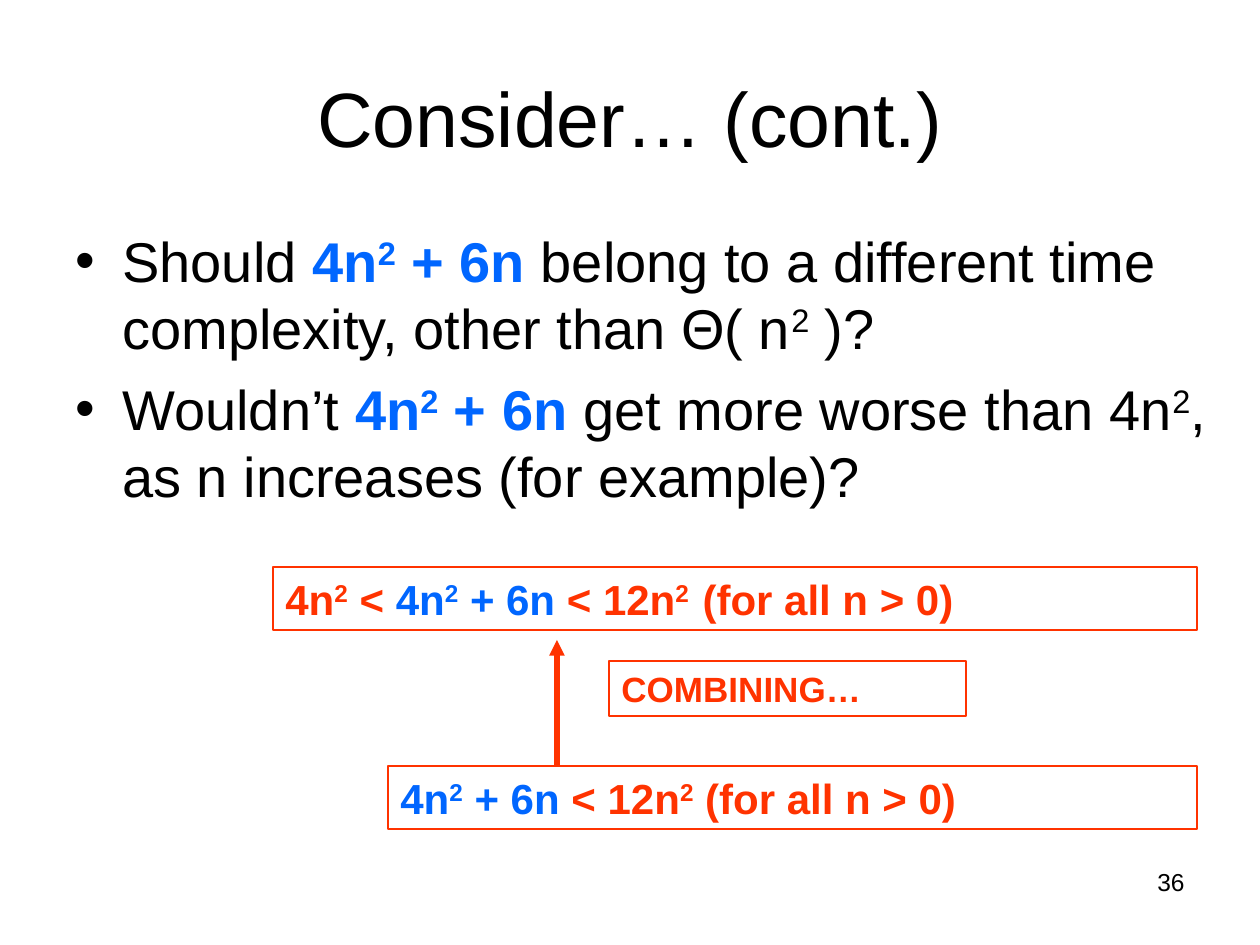
from lxml import etree
from pptx import Presentation
from pptx import util as u
from pptx.dml.color import RGBColor
from pptx.enum import shapes, text
from pptx.oxml.ns import qn

BLACK = RGBColor(0x00, 0x00, 0x00)
BLUE = RGBColor(0x00, 0x66, 0xFF)
RED = RGBColor(0xFF, 0x33, 0x00)
PX = u.Inches(1) / 126


def emu(*lengths):
    return [u.Emu(round(n * PX)) for n in lengths]


def write(p, markup, size=24, color=BLACK, bold=False, font="Arial"):
    for i, piece in enumerate(markup.split("^")):
        if not piece:
            continue
        r = p.add_run()
        r.text = piece
        r.font.name = font
        r.font.size = u.Pt(size)
        r.font.bold = bold
        r.font.color.rgb = color
        if i % 2:
            r.font._element.set("baseline", "30000")


class Deck:
    font = "Arial"
    accent = RED

    def __init__(self, width, height):
        self.prs = Presentation()
        self.prs.slide_width, self.prs.slide_height = emu(width, height)
        self.s = self.prs.slides.add_slide(self.prs.slide_layouts[6])

    def frame(self, sp, anchor=text.MSO_ANCHOR.TOP):
        tf = sp.text_frame
        tf.word_wrap = True
        tf.vertical_anchor = anchor
        return tf

    def label(self, box, words, size, align, anchor=text.MSO_ANCHOR.TOP):
        tf = self.frame(self.s.shapes.add_textbox(*emu(*box)), anchor)
        p = tf.paragraphs[0]
        p.alignment = align
        write(p, words, size=size, font=self.font)

    def bullets(self, box, items, size=32, indent=47):
        tf = self.frame(self.s.shapes.add_textbox(*emu(*box)))
        for i, item in enumerate(items):
            p = tf.add_paragraph() if i else tf.paragraphs[0]
            p.space_before = u.Pt(8)
            pPr = p._p.get_or_add_pPr()
            pPr.set("marL", str(emu(indent)[0]))
            pPr.set("indent", str(emu(-indent)[0]))
            etree.SubElement(pPr, qn("a:buFont")).set("typeface", self.font)
            etree.SubElement(pPr, qn("a:buChar")).set("char", "•")
            for words, color in item:
                write(p, words, size=size, color=color, bold=color != BLACK, font=self.font)

    def box(self, box, parts, size=24):
        sp = self.s.shapes.add_shape(shapes.MSO_SHAPE.RECTANGLE, *emu(*box))
        sp.shadow.inherit = False
        sp.fill.background()
        sp.line.color.rgb = self.accent
        sp.line.width = u.Pt(0.75)
        p = self.frame(sp).paragraphs[0]
        p.alignment = text.PP_ALIGN.LEFT
        for words, color in parts:
            write(p, words, size=size, color=color, bold=True, font=self.font)

    def arrow(self, x1, y1, x2, y2):
        c = self.s.shapes.add_connector(shapes.MSO_CONNECTOR.STRAIGHT, *emu(x1, y1, x2, y2))
        c.line.color.rgb = self.accent
        c.line.width = u.Pt(3)
        etree.SubElement(c.line._get_or_add_ln(), qn("a:tailEnd")).set("type", "triangle")
        etree.SubElement(c._element.spPr, qn("a:effectLst"))


def main():
    d = Deck(1260, 945)
    d.label((903, 861, 294, 66), "36", 14, text.PP_ALIGN.RIGHT)
    d.label((63, 38, 1134, 158), "Consider… (cont.)", 44,
            text.PP_ALIGN.CENTER, text.MSO_ANCHOR.MIDDLE)
    total = ("4n^2^ + 6n", BLUE)
    d.bullets((63, 220, 1197, 315), [
        [("Should ", BLACK), total,
         (" belong to a different time complexity, other than Θ( n^2^ )?", BLACK)],
        [("Wouldn’t ", BLACK), total,
         (" get more worse than 4n^2^, as n increases (for example)?", BLACK)],
    ])
    d.box((273, 567, 924, 63),
          [("4n^2^ < ", RED), total, (" < 12n^2  ^(for all n > 0)", RED)])
    d.box((388, 766, 809, 63), [total, (" < 12n^2^ (for all n > 0)", RED)])
    d.arrow(557, 766, 557, 640)
    d.box((609, 661, 357, 55), [("COMBINING…", RED)], size=20)
    d.prs.save("out.pptx")


if __name__ == "__main__":
    main()
